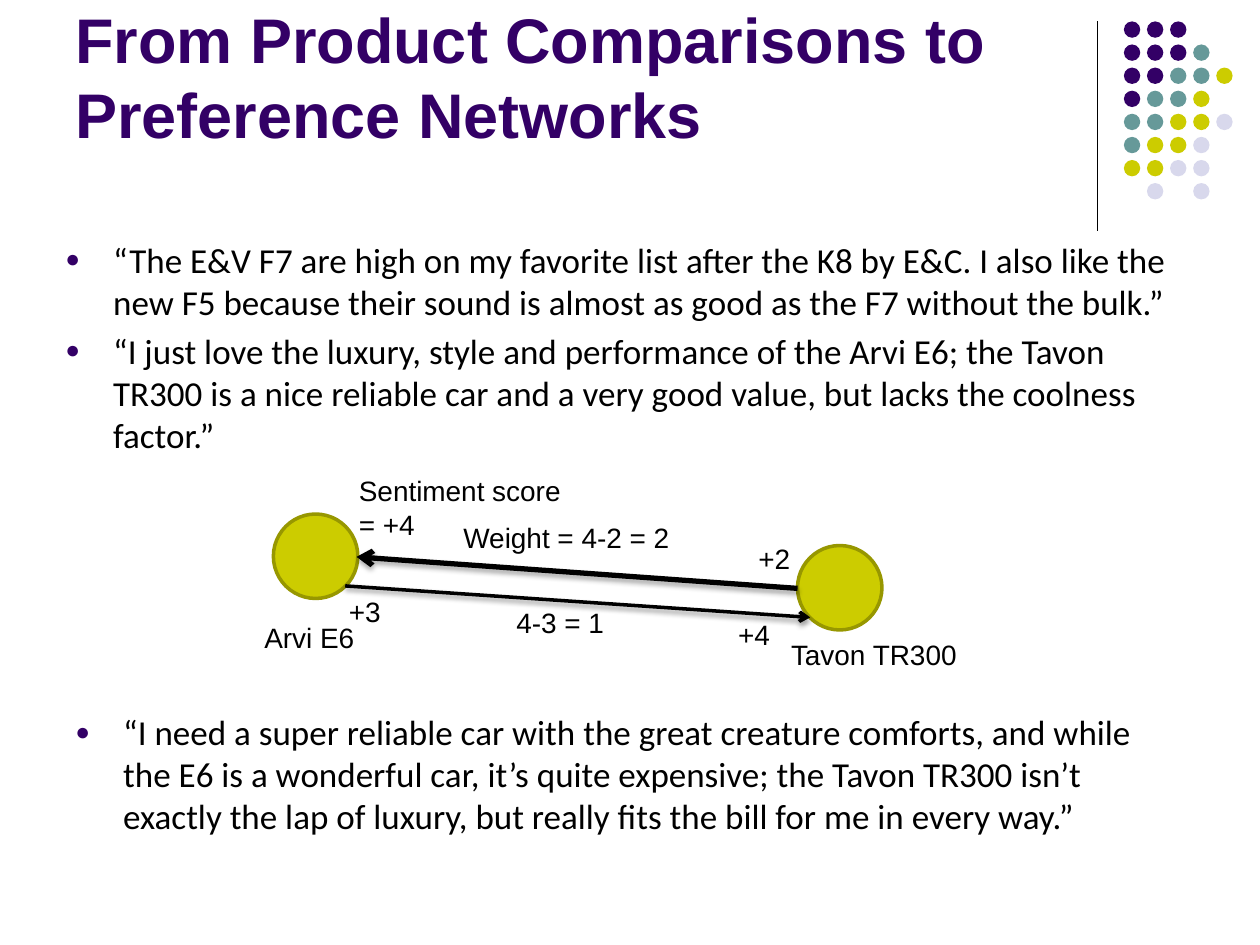
"""Build the slide on product comparisons and preference networks."""
from lxml.etree import SubElement
from pptx import Presentation
from pptx.dml.color import RGBColor
from pptx.enum.shapes import MSO_CONNECTOR, MSO_SHAPE
from pptx.enum.text import MSO_ANCHOR
from pptx.oxml.ns import qn
from pptx.util import Inches, Pt

COLORS = {
    "purple": "330066",
    "teal": "669999",
    "olive": "CCCC00",
    "lavender": "D8D8EC",
    "rim": "979700",
    "black": "000000",
}
RGB = {name: RGBColor.from_string(value) for name, value in COLORS.items()}
TITLE_FONT = {"name": "Arial", "size": Pt(36), "bold": True}
QUOTE_FONT = {"name": "Calibri", "size": Pt(20)}
LABEL_FONT = {"name": "Arial", "size": Pt(16)}

presentation = Presentation()
presentation.slide_width, presentation.slide_height = Inches(10), Inches(7.5)
slide = presentation.slides.add_slide(presentation.slide_layouts[6])


def add_text(box, paragraphs, font, color="black", wrap=True, bullet=False):
    """Add a text box with one format for all its paragraphs."""
    frame = slide.shapes.add_textbox(*map(Inches, box)).text_frame
    frame.word_wrap = wrap
    for index, text in enumerate(paragraphs):
        paragraph = frame.paragraphs[0] if index == 0 else frame.add_paragraph()
        if bullet:
            properties = paragraph._p.get_or_add_pPr()
            properties.set("marL", str(Inches(0.38)))
            properties.set("indent", str(Inches(-0.38)))
            if index:
                paragraph.space_before = Pt(4)
            bullet_color = SubElement(properties, qn("a:buClr"))
            SubElement(bullet_color, qn("a:srgbClr"), val=COLORS["purple"])
            SubElement(properties, qn("a:buSzPct"), val="70000")
            SubElement(properties, qn("a:buFont"), typeface="Arial")
            SubElement(properties, qn("a:buChar"), char="●")
        run = paragraph.add_run()
        run.text = text
        for attribute, value in font.items():
            setattr(run.font, attribute, value)
        run.font.color.rgb = RGB[color]
    return frame


def add_line(start, end, width, shadow=None):
    """Draw a plain line, or a shadowed arrow when a shadow is given."""
    line = slide.shapes.add_connector(
        MSO_CONNECTOR.STRAIGHT, *map(Inches, start + end)
    )
    line.line.width = Pt(width)
    line.line.color.rgb = RGB["black"]
    effects = SubElement(line._element.spPr, qn("a:effectLst"))
    if shadow:
        opacity, distance = shadow
        SubElement(line.line._get_or_add_ln(), qn("a:tailEnd"), type="arrow")
        outer = SubElement(
            effects, qn("a:outerShdw"), blurRad=str(Pt(3.1)),
            dist=str(Pt(distance)), dir="5400000", rotWithShape="0",
        )
        tint = SubElement(outer, qn("a:srgbClr"), val=COLORS["black"])
        SubElement(tint, qn("a:alpha"), val=str(opacity * 1000))


add_line((8.71, 0.17), (8.71, 1.83), 0.75)

DOT_ROWS = ["PPP", "PPPT", "PPTTO", "PTTO", "TTOOL", "TOOL", "OOLL", " L L"]
DOT_COLORS = {"P": "purple", "T": "teal", "O": "olive", "L": "lavender"}
DOT_PITCH = 0.55 / 3
circles = [
    (8.92 + column * DOT_PITCH, 0.17 + row * DOT_PITCH, 0.13, DOT_COLORS[code], None)
    for row, codes in enumerate(DOT_ROWS)
    for column, code in enumerate(codes)
    if code != " "
]
circles += [(left, top, 0.67, "olive", "rim") for left, top in [(2.17, 4.08), (6.33, 4.33)]]
for left, top, size, fill, outline in circles:
    circle = slide.shapes.add_shape(
        MSO_SHAPE.OVAL, *map(Inches, (left, top, size, size))
    )
    circle.shadow.inherit = False
    circle.fill.solid()
    circle.fill.fore_color.rgb = RGB[fill]
    if outline:
        circle.line.width = Pt(2)
        circle.line.color.rgb = RGB[outline]
    else:
        circle.line.fill.background()

title = add_text(
    (0.5, -0.17, 8.25, 1.42),
    ["From Product Comparisons to Preference Networks"],
    TITLE_FONT,
    "purple",
)
title.vertical_anchor = MSO_ANCHOR.BOTTOM

add_text(
    (0.42, 1.84, 9.17, 1.9),
    [
        "“The E&V F7 are high on my favorite list after the K8 by E&C. I also like "
        "the new F5 because their sound is almost as good as the F7 without the bulk.”",
        "“I just love the luxury, style and performance of the Arvi E6; the Tavon "
        "TR300 is a nice reliable car and a very good value, but lacks the coolness "
        "factor.”",
    ],
    QUOTE_FONT,
    bullet=True,
)
add_text(
    (0.5, 5.59, 9, 1.2),
    [
        "“I need a super reliable car with the great creature comforts, and while "
        "the E6 is a wonderful car, it’s quite expensive; the Tavon TR300 isn’t "
        "exactly the lap of luxury, but really fits the bill for me in every way.”"
    ],
    QUOTE_FONT,
    bullet=True,
)

add_line((6.33, 4.67), (2.83, 4.42), 3, shadow=(35, 1.8))
add_line((2.74, 4.65), (6.43, 4.9), 2, shadow=(38, 1.6))

LABELS = [
    (2, 4.88, 0.97, ["Arvi E6"]),
    (6.18, 5.01, 1.56, ["Tavon TR300"]),
    (2.75, 3.71, 1.89, ["Sentiment score", "= +4"]),
    (5.92, 4.25, 0.46, ["+2"]),
    (3.58, 4.08, 1.86, ["Weight = 4-2 = 2"]),
    (2.67, 4.67, 0.46, ["+3"]),
    (5.76, 4.85, 0.46, ["+4"]),
    (4, 4.76, 0.91, ["4-3 = 1"]),
]
for left, top, width, lines in LABELS:
    height = 0.1 + 0.27 * len(lines)
    add_text((left, top, width, height), lines, LABEL_FONT, wrap=False)

presentation.save("out.pptx")
